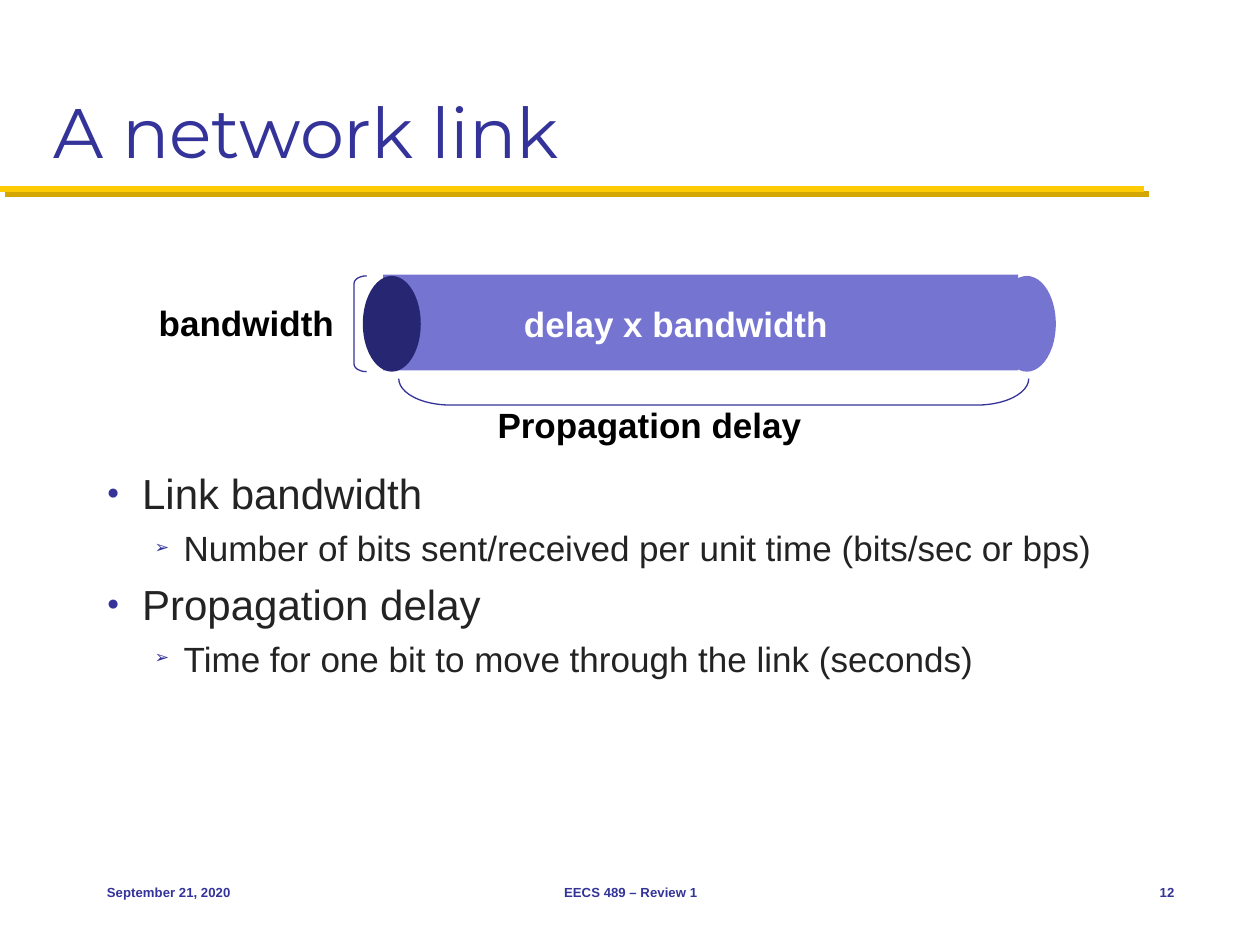
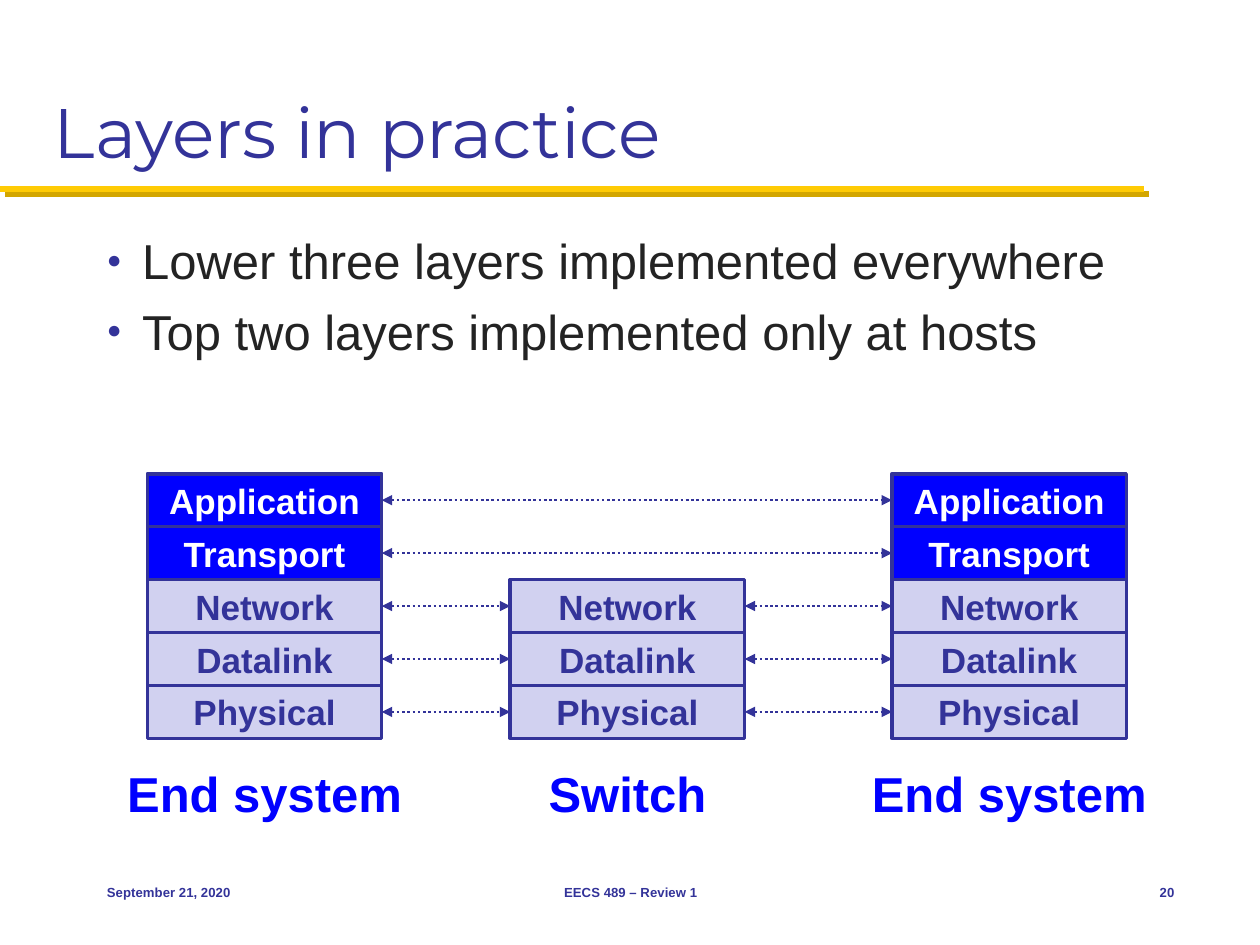
from lxml.etree import SubElement
from pptx import Presentation
from pptx.dml.color import RGBColor
from pptx.enum.dml import MSO_LINE
from pptx.enum.shapes import MSO_CONNECTOR, MSO_SHAPE
from pptx.enum.text import MSO_ANCHOR, PP_ALIGN
from pptx.oxml.ns import qn
from pptx.util import Inches, Pt

NAVY = "333399"
GOLD = "FFCB05"
DARK_GOLD = "D3A600"
INK = "232323"
BLACK = "000000"
WHITE = "FFFFFF"
BLUE = "0000FF"
LAVENDER = "D1D1F0"
PIPE = "7575D1"
PIPE_MOUTH = "262673"

LEFT, CENTER, RIGHT = PP_ALIGN.LEFT, PP_ALIGN.CENTER, PP_ALIGN.RIGHT
BULLETS = [("●", 0.28, -0.28), ("➢", 0.61, -0.23)]
TOP_LAYERS = ["Application", "Transport"]
LOWER_LAYERS = ["Network", "Datalink", "Physical"]
LAYER_TOP, LAYER_WIDTH, LAYER_HEIGHT = 3.76, 1.86, 0.42


def color(value):
    return RGBColor.from_string(value)


class Deck:
    def __init__(self):
        self.presentation = Presentation()
        self.presentation.slide_width = Inches(10)
        self.presentation.slide_height = Inches(7.5)
        self.slide = None

    def add_slide(self, title, number):
        layout = self.presentation.slide_layouts[6]
        self.slide = self.presentation.slides.add_slide(layout)
        self.title_rule()
        self.text(title, (0.33, 0.17, 9.33, 1.25), 40, NAVY, anchor=MSO_ANCHOR.BOTTOM,
                  font="Montserrat", bold=False)
        footers = [("September 21, 2020", 0.75, 2.08, LEFT),
                   ("EECS 489 – Review 1", 3.42, 3.17, CENTER),
                   (number, 8.75, 0.67, RIGHT)]
        for content, left, width, align in footers:
            self.text(content, (left, 6.83, width, 0.5), 7.5, NAVY, align, MSO_ANCHOR.MIDDLE)

    def style(self, paragraph, size, ink, bold=True, font="Arial"):
        paragraph.font.size = Pt(size)
        paragraph.font.name = font
        paragraph.font.bold = bold
        paragraph.font.color.rgb = color(ink)

    def text(self, content, box, size, ink, align=LEFT, anchor=MSO_ANCHOR.TOP,
             font="Arial", bold=True):
        frame = self.slide.shapes.add_textbox(*map(Inches, box)).text_frame
        frame.word_wrap = False
        frame.vertical_anchor = anchor
        paragraph = frame.paragraphs[0]
        paragraph.text = content
        paragraph.alignment = align
        self.style(paragraph, size, ink, bold, font)

    def bullets(self, items, top, sizes):
        frame = self.slide.shapes.add_textbox(
            Inches(0.75), Inches(top), Inches(8.67), Inches(6.58 - top)).text_frame
        frame.word_wrap = True
        for index, (level, content) in enumerate(items):
            paragraph = frame.add_paragraph() if index else frame.paragraphs[0]
            paragraph.text = content
            paragraph.level = level
            if index:
                paragraph.space_before = Pt(sizes[level] * 0.24)
            symbol, margin, indent = BULLETS[level]
            properties = paragraph._p.get_or_add_pPr()
            properties.set("marL", str(Inches(margin)))
            properties.set("indent", str(Inches(indent)))
            bullet_color = SubElement(properties, qn("a:buClr"))
            SubElement(bullet_color, qn("a:srgbClr"), val=NAVY)
            SubElement(properties, qn("a:buSzPct"), val="50000")
            SubElement(properties, qn("a:buFont"), typeface="Arial")
            SubElement(properties, qn("a:buChar"), char=symbol)
            self.style(paragraph, sizes[level], INK, bold=False)

    def shape(self, kind, box, fill=None, line=None, line_width=0.75):
        shape = self.slide.shapes.add_shape(kind, *map(Inches, box))
        shape.shadow.inherit = False
        if fill:
            shape.fill.solid()
            shape.fill.fore_color.rgb = color(fill)
        else:
            shape.fill.background()
        if line:
            shape.line.color.rgb = color(line)
            shape.line.width = Pt(line_width)
        else:
            shape.line.fill.background()
        return shape

    def bracket(self, box, curve, rotation=0):
        bracket = self.shape(MSO_SHAPE.LEFT_BRACKET, box, line=NAVY)
        bracket.adjustments[0] = curve
        bracket.rotation = rotation

    def layer(self, name, left, row):
        is_top = name in TOP_LAYERS
        box = (left, LAYER_TOP + row * LAYER_HEIGHT, LAYER_WIDTH, LAYER_HEIGHT)
        shape = self.shape(MSO_SHAPE.RECTANGLE, box, BLUE if is_top else LAVENDER, NAVY, 2)
        frame = shape.text_frame
        frame.word_wrap = False
        frame.vertical_anchor = MSO_ANCHOR.MIDDLE
        paragraph = frame.paragraphs[0]
        paragraph.text = name
        paragraph.alignment = CENTER
        self.style(paragraph, 20, WHITE if is_top else NAVY)
        return shape

    def connector(self, start, end, ink, width):
        connector = self.slide.shapes.add_connector(
            MSO_CONNECTOR.STRAIGHT, *map(Inches, start + end))
        connector.line.color.rgb = color(ink)
        connector.line.width = Pt(width)
        effects = SubElement(connector._element.spPr, qn("a:effectLst"))
        return connector, effects

    def title_rule(self):
        _, effects = self.connector((0, 1.5), (9.08, 1.5), GOLD, 3.5)
        shadow = SubElement(effects, qn("a:outerShdw"), dist=str(Pt(4.2)),
                            dir="2700000", algn="ctr", rotWithShape="0")
        SubElement(shadow, qn("a:srgbClr"), val=DARK_GOLD)

    def exchange(self, left_layer, right_layer):
        connector, _ = self.connector((0, 0), (1, 0), NAVY, 1.5)
        connector.begin_connect(left_layer, 3)
        connector.end_connect(right_layer, 1)
        connector.line.dash_style = MSO_LINE.ROUND_DOT
        line = connector.line._get_or_add_ln()
        for tag in ("a:headEnd", "a:tailEnd"):
            SubElement(line, qn(tag), type="triangle")


def build_network_link(deck):
    deck.add_slide("A network link", "12")
    deck.bullets([
        (0, "Link bandwidth"),
        (1, "Number of bits sent/received per unit time (bits/sec or bps)"),
        (0, "Propagation delay"),
        (1, "Time for one bit to move through the link (seconds)"),
    ], 3.66, (24, 20))
    deck.shape(MSO_SHAPE.OVAL, (7.92, 2.19, 0.46, 0.76), PIPE)
    deck.shape(MSO_SHAPE.RECTANGLE, (3.04, 2.18, 5.04, 0.76), PIPE)
    deck.shape(MSO_SHAPE.OVAL, (2.88, 2.19, 0.46, 0.76), PIPE_MOUTH)
    deck.bracket((2.81, 2.19, 0.1, 0.76), 0.61)
    deck.bracket((5.56, 0.61, 0.21, 5), 1.98, 270)
    deck.text("bandwidth", (1.15, 2.34, 1.6, 0.44), 20, BLACK, RIGHT)
    deck.text("Propagation delay", (3.83, 3.15, 2.63, 0.44), 20, BLACK, RIGHT)
    deck.text("delay x bandwidth", (4.04, 2.35, 2.63, 0.44), 20, WHITE, RIGHT)


def build_layers_in_practice(deck):
    deck.add_slide("Layers in practice", "20")
    deck.bullets([
        (0, "Lower three layers implemented everywhere"),
        (0, "Top two layers implemented only at hosts"),
    ], 1.78, (28,))
    all_layers = TOP_LAYERS + LOWER_LAYERS
    systems = [("End system", 1.17, all_layers),
               ("Switch", 4.05, LOWER_LAYERS),
               ("End system", 7.08, all_layers)]
    stacks = []
    for caption, left, names in systems:
        stacks.append({name: deck.layer(name, left, all_layers.index(name)) for name in names})
        deck.text(caption, (left - 0.27, 6.01, LAYER_WIDTH + 0.54, 0.57), 28, BLUE, CENTER)
    for name in all_layers:
        peers = [stack[name] for stack in stacks if name in stack]
        for left_layer, right_layer in zip(peers, peers[1:]):
            deck.exchange(left_layer, right_layer)


def main():
    deck = Deck()
    build_network_link(deck)
    build_layers_in_practice(deck)
    deck.presentation.save("out.pptx")


if __name__ == "__main__":
    main()
